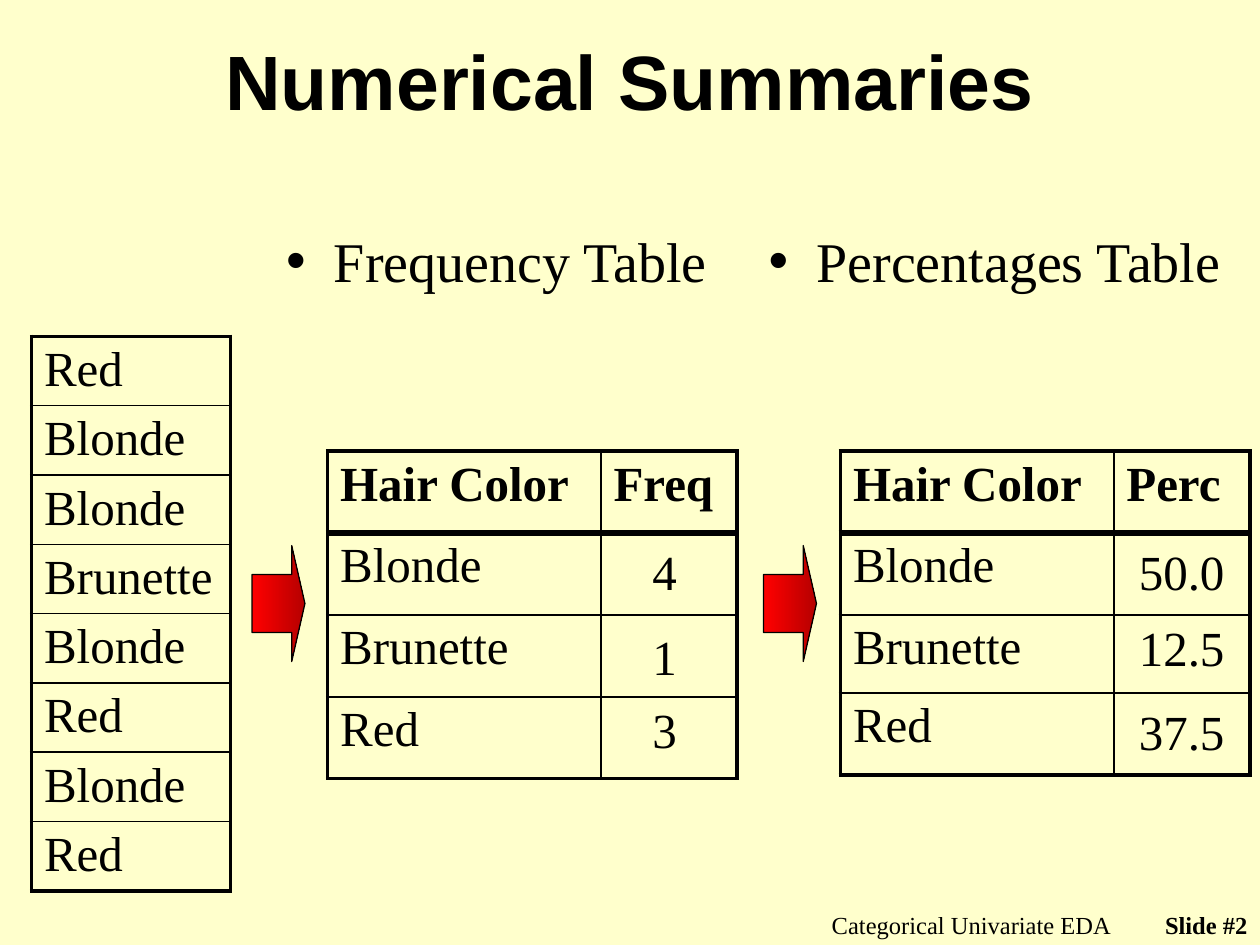
from lxml import etree
from pptx import Presentation
from pptx.dml.color import RGBColor
from pptx.enum.shapes import MSO_SHAPE
from pptx.enum.text import MSO_ANCHOR, MSO_AUTO_SIZE, PP_ALIGN
from pptx.oxml.ns import qn
from pptx.util import Inches, Pt

ARROW = MSO_SHAPE.RIGHT_ARROW
MIDDLE, TOP = MSO_ANCHOR.MIDDLE, MSO_ANCHOR.TOP
FIT, FIXED = MSO_AUTO_SIZE.SHAPE_TO_FIT_TEXT, MSO_AUTO_SIZE.NONE
CENTER, LEFT, RIGHT = PP_ALIGN.CENTER, PP_ALIGN.LEFT, PP_ALIGN.RIGHT

SERIF = "Times New Roman"
BLACK = "000000"
THIN, EDGE, HEAVY = 1, 2.25, 4.5


def color(text):
    return RGBColor.from_string(text)


def place(shape, left, top, width, height):
    shape.left, shape.top = Inches(left), Inches(top)
    shape.width, shape.height = Inches(width), Inches(height)


def write(frame, text, size, bold=False, align=LEFT, face=SERIF, gap=0):
    frame.text = text
    para = frame.paragraphs[0]
    para.alignment = align
    para.space_before = Pt(gap)
    font = para.font
    font.name, font.size, font.bold = face, Pt(size), bold
    font.color.rgb = color(BLACK)
    return para


def add_text(slide, text, box, size, bold=False, align=LEFT, wrap=True):
    shape = slide.shapes.add_textbox(*map(Inches, box))
    frame = shape.text_frame
    frame.word_wrap = wrap
    frame.auto_size = FIXED if wrap else FIT
    write(frame, text, size, bold, align)


def fill_title(shape, text):
    place(shape, 0.75, 0.17, 8.5, 0.92)
    frame = shape.text_frame
    frame.auto_size = FIXED
    frame.vertical_anchor = MIDDLE
    write(frame, text, 44, True, CENTER, "Arial")


def fill_list(shape, text, left, width):
    place(shape, left, 1.75, width, 0.67)
    frame = shape.text_frame
    frame.auto_size = FIXED
    frame.vertical_anchor = TOP
    para = write(frame, text, 32, gap=6.4)
    props = para._p.get_or_add_pPr()
    props.set("marL", str(Inches(0.38)))
    props.set("indent", str(-Inches(0.38)))


def add_border(cell, sides):
    """Draw cell borders; sides are widths for left, right, top, bottom."""
    props = cell._tc.get_or_add_tcPr()
    for spot, (side, width) in enumerate(zip("LRTB", sides)):
        line = etree.Element(qn(f"a:ln{side}"), w=str(Pt(width)))
        paint = etree.SubElement(line, qn("a:solidFill"))
        etree.SubElement(paint, qn("a:srgbClr"), val=BLACK)
        props.insert(spot, line)


def add_grid(slide, left, top, cols, rows, data, head=False):
    count, wide = len(rows), len(cols)
    frame = slide.shapes.add_table(
        count, wide, Inches(left), Inches(top),
        Inches(sum(cols)), Inches(sum(rows)))
    table = frame.table
    table.first_row = table.horz_banding = False
    for col, width in zip(table.columns, cols):
        col.width = Inches(width)
    for row, height in zip(table.rows, rows):
        row.height = Inches(height)

    # Outer edges are thicker; a heavy rule follows the header
    across = [EDGE] + [THIN] * (wide - 1) + [EDGE]
    down = [EDGE] + [THIN] * (count - 1) + [EDGE]
    if head:
        down[1] = HEAVY
    for y, line in enumerate(data):
        for x, text in enumerate(line):
            cell = table.cell(y, x)
            cell.fill.background()
            add_border(cell, across[x:x + 2] + down[y:y + 2])
            if text:
                write(cell.text_frame, text, 28, head and y == 0, gap=5.6)


def add_arrow(slide, left):
    shape = slide.shapes.add_shape(
        ARROW, Inches(left), Inches(4.33), Inches(0.42), Inches(0.92))
    shape.shadow.inherit = False
    shape.adjustments[0], shape.adjustments[1] = 0.5, 0.25
    shape.fill.gradient()
    shape.fill.gradient_angle = 0
    for stop, shade in zip(shape.fill.gradient_stops, ("FF0000", "B60000")):
        stop.color.rgb = color(shade)
    shape.line.color.rgb = color(BLACK)
    shape.line.width = Pt(0.75)


def add_summary(slide, left, label, rows, spot, values):
    """Add a hair color table with its values laid over the last column."""
    data = [("Hair Color", label), ("Blonde", ""), ("Brunette", ""), ("Red", "")]
    add_grid(slide, left, 3.58, (2.17, 1.08), rows, data, head=True)
    start, width = spot
    for top, text in values:
        add_text(slide, text, (start, top, width, 0.57), 28, wrap=False)


def main():
    deck = Presentation()
    deck.slide_width, deck.slide_height = Inches(10), Inches(7.5)
    slide = deck.slides.add_slide(deck.slide_layouts[3])
    back = slide.background.fill
    back.solid()
    back.fore_color.rgb = color("FFFFCC")

    # Title and headings
    title, first, second = slide.placeholders
    fill_title(title, "Numerical Summaries")
    fill_list(first, "Frequency Table", 2.17, 3.58)
    fill_list(second, "Percentages Table", 6, 3.92)

    # Raw data
    hair = ("Red", "Blonde", "Blonde", "Brunette",
            "Blonde", "Red", "Blonde", "Red")
    add_grid(slide, 0.25, 2.67, [1.58], [0.55] * len(hair),
             [(name,) for name in hair])

    # Summary tables
    add_summary(slide, 2.6, "Freq", [0.65] * 4, (5.08, 0.4),
                ((4.25, "4"), (4.92, "1"), (5.5, "3")))
    add_summary(slide, 6.67, "Perc", (0.65, 0.65, 0.62, 0.65), (8.94, 0.89),
                ((4.25, "50.0"), (4.85, "12.5"), (5.52, "37.5")))

    # Steps between tables
    for left in (2, 6.06):
        add_arrow(slide, left)

    # Footer
    add_text(slide, "Categorical Univariate EDA", (5.75, 7.17, 3.17, 0.25),
             14, align=RIGHT)
    add_text(slide, "Slide #2", (8.92, 7.17, 1.08, 0.25), 14, True, RIGHT)

    deck.save("out.pptx")


if __name__ == "__main__":
    main()
